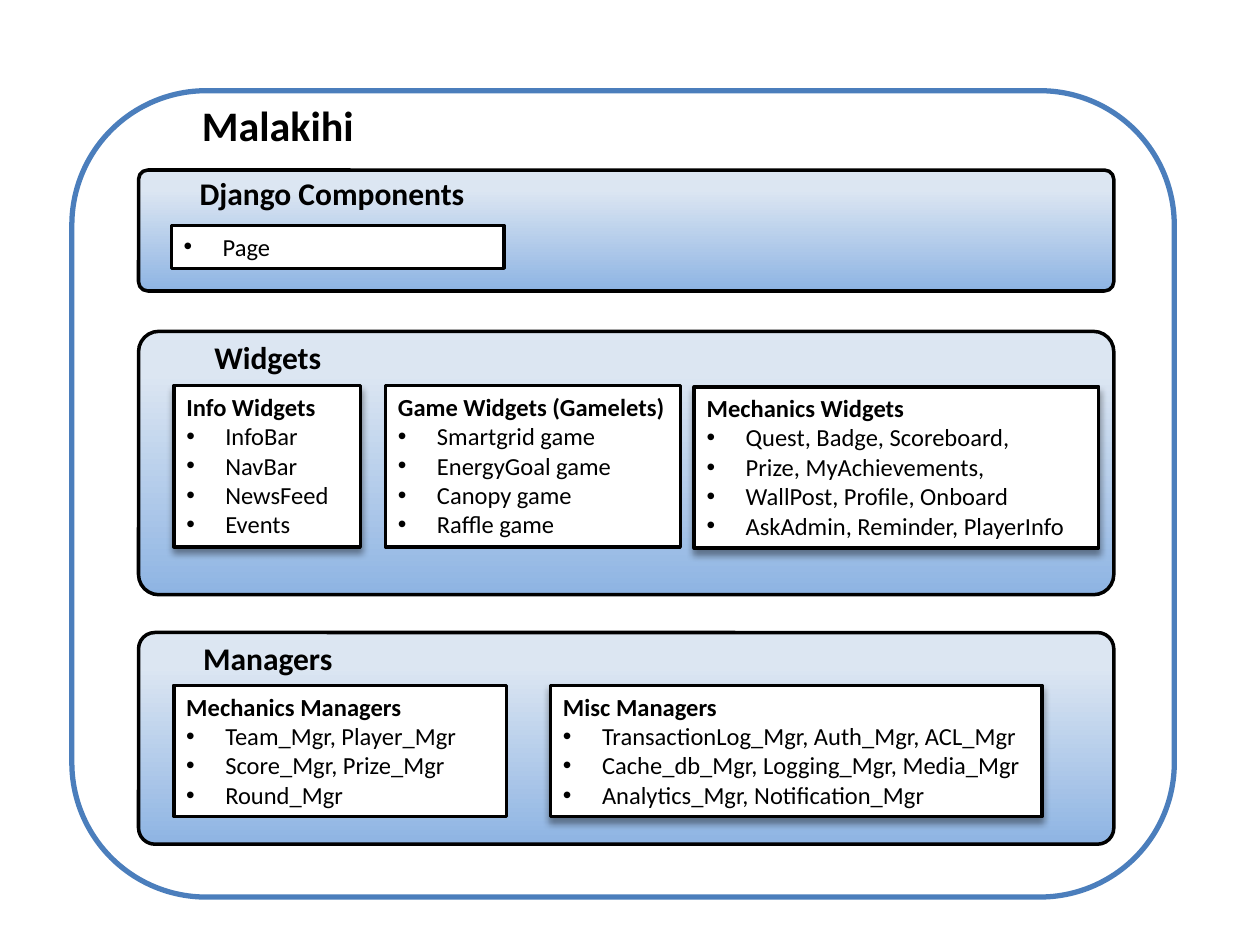
"""Build the component architecture slide."""
from lxml.etree import SubElement
from pptx import Presentation
from pptx.dml.color import RGBColor
from pptx.enum.shapes import MSO_SHAPE
from pptx.enum.text import MSO_ANCHOR, MSO_AUTO_SIZE, PP_ALIGN
from pptx.oxml.ns import qn
from pptx.util import Inches, Pt

BLACK = RGBColor(0x00, 0x00, 0x00)
WHITE = RGBColor(0xFF, 0xFF, 0xFF)
BLUE = RGBColor(0x4B, 0x7E, 0xBC)
DEEP = RGBColor(0x8E, 0xB4, 0xE3)
PALE = RGBColor(0xDC, 0xE6, 0xF2)
FONT = "Calibri"
LEFT, WIDTH = 1.1, 7.74
INDENT = Inches(0.31)

TITLE = "Malakihi"
PANELS = [
    dict(name="Django Components", top=1.35, height=0.96,
         label=(1.36, 1.33, 2.55), cards=[
             (1.36, 1.79, 2.64, 0.34, False, "", ["Page"])]),
    dict(name="Widgets", top=2.63, height=2.09,
         label=(1.38, 2.63, 1.49), cards=[
             (1.38, 3.06, 1.48, 1.28, True, "Info Widgets",
              ["InfoBar", "NavBar", "NewsFeed", "Events"]),
             (3.06, 3.06, 2.34, 1.28, False, "Game Widgets (Gamelets)",
              ["Smartgrid game", "EnergyGoal game", "Canopy game",
               "Raffle game"]),
             (5.51, 3.07, 3.21, 1.28, True, "Mechanics Widgets",
              ["Quest, Badge, Scoreboard,", "Prize, MyAchievements,",
               "WallPost, Profile, Onboard",
               "AskAdmin, Reminder, PlayerInfo"])]),
    dict(name="Managers", top=5.02, height=1.68,
         label=(1.38, 5.02, 1.49), cards=[
             (1.38, 5.44, 2.64, 1.04, False, "Mechanics Managers",
              ["Team_Mgr, Player_Mgr", "Score_Mgr, Prize_Mgr", "Round_Mgr"]),
             (4.37, 5.44, 3.9, 1.04, True, "Misc Managers",
              ["TransactionLog_Mgr, Auth_Mgr, ACL_Mgr",
               "Cache_db_Mgr, Logging_Mgr, Media_Mgr",
               "Analytics_Mgr, Notification_Mgr"])]),
]


def style(para, size, bold, align):
    """Format a paragraph and its runs."""
    para.alignment = align
    for run in para.runs:
        run.font.name = FONT
        run.font.size = Pt(size)
        run.font.bold = bold
        run.font.color.rgb = BLACK


def add_box(slide, kind, place, color, weight):
    """Add an outlined shape without a shadow."""
    box = slide.shapes.add_shape(kind, *map(Inches, place))
    box.shadow.inherit = False
    box.line.color.rgb = color
    box.line.width = Pt(weight)
    return box


def add_shadow(box):
    """Drop a soft shadow below a shape."""
    effects = box._element.spPr.find(qn("a:effectLst"))
    outer = SubElement(effects, qn("a:outerShdw"), blurRad=str(Pt(4)),
                       dist=str(Pt(3)), dir="5400000", rotWithShape="0")
    color = SubElement(outer, qn("a:srgbClr"), val=str(BLACK))
    SubElement(color, qn("a:alpha"), val="40000")


def add_bullet(para):
    """Give a paragraph a hanging bullet."""
    props = para._p.get_or_add_pPr()
    props.set("marL", str(INDENT))
    props.set("indent", str(-INDENT))
    SubElement(props, qn("a:buFont"), typeface="Arial")
    SubElement(props, qn("a:buChar"), char="•")


def add_card(slide, left, top, width, height, raised, head, items):
    """Add a white card with a heading and bullets."""
    card = add_box(slide, MSO_SHAPE.RECTANGLE, (left, top, width, height),
                   BLACK, 2)
    card.fill.solid()
    card.fill.fore_color.rgb = WHITE
    if raised:
        add_shadow(card)
    frame = card.text_frame
    frame.word_wrap = True
    frame.vertical_anchor = MSO_ANCHOR.TOP
    lines = [head] * bool(head) + items
    frame.text = "\n".join(lines)
    for para in frame.paragraphs:
        title = para.text == head
        style(para, 14, title, PP_ALIGN.LEFT)
        if not title:
            add_bullet(para)


def add_panel(slide, name, top, height, label, cards):
    """Add a gradient panel with its label and cards."""
    panel = add_box(slide, MSO_SHAPE.ROUNDED_RECTANGLE,
                    (LEFT, top, WIDTH, height), BLACK, 2)
    panel.adjustments[0] = 0.077
    panel.fill.gradient()
    panel.fill.gradient_angle = 90
    for stop, color, spot in zip(panel.fill.gradient_stops,
                                 (DEEP, PALE), (0, 0.84)):
        stop.color.rgb = color
        stop.position = spot
    text = slide.shapes.add_textbox(*map(Inches, (*label, 0.4)))
    text.text_frame.word_wrap = True
    text.text_frame.text = name
    style(text.text_frame.paragraphs[0], 18, True, PP_ALIGN.CENTER)
    for card in cards:
        add_card(slide, *card)


def main():
    """Assemble and save the slide."""
    deck = Presentation()
    deck.slide_width, deck.slide_height = Inches(10), Inches(7.5)
    slide = deck.slides.add_slide(deck.slide_layouts[5])
    title = slide.shapes.title
    title.left, title.top, title.width, title.height = map(
        Inches, (1.46, 0.74, 1.49, 0.5))
    frame = title.text_frame
    frame.text = TITLE
    frame.word_wrap = True
    frame.auto_size = MSO_AUTO_SIZE.NONE
    frame.vertical_anchor = MSO_ANCHOR.TOP
    style(frame.paragraphs[0], 24, True, PP_ALIGN.CENTER)
    for panel in PANELS:
        add_panel(slide, **panel)
    border = add_box(slide, MSO_SHAPE.ROUNDED_RECTANGLE,
                     (0.57, 0.72, 8.75, 6.4), BLUE, 3)
    border.fill.background()
    deck.save("out.pptx")


main()
